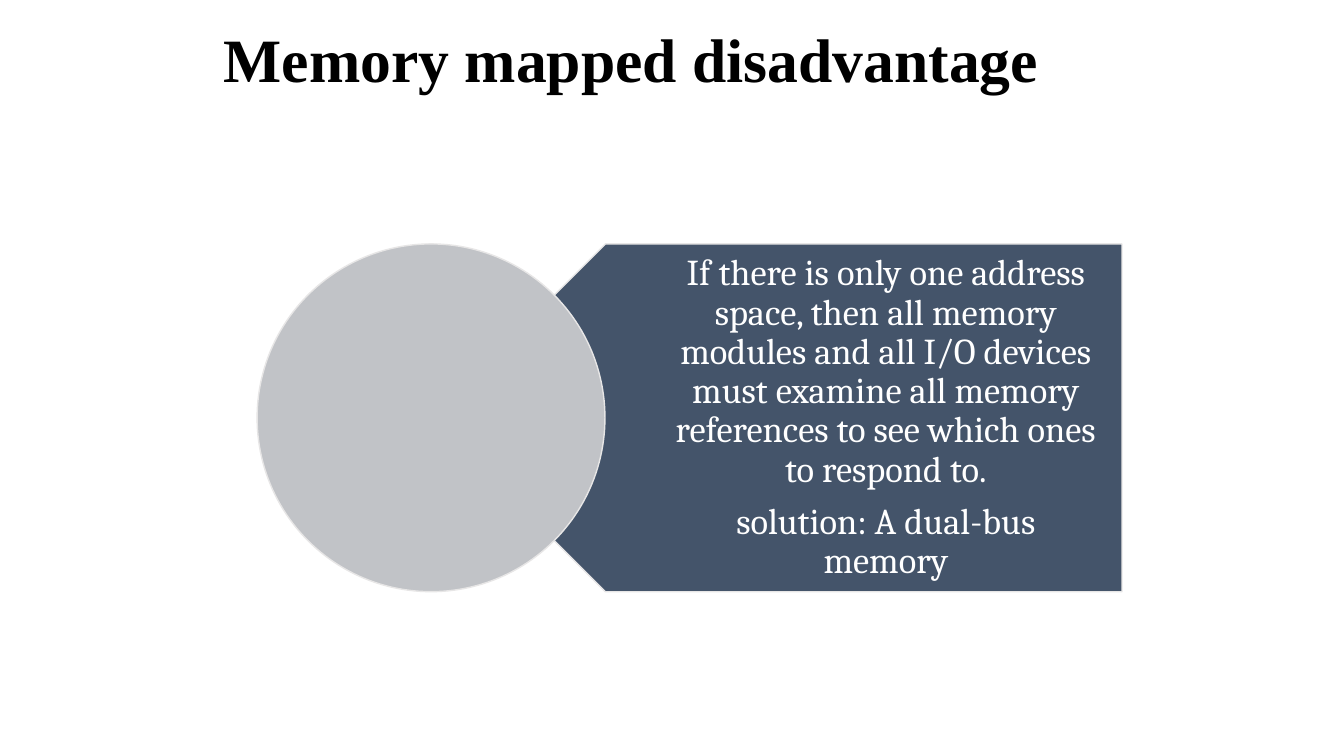
from dataclasses import dataclass

from pptx import Presentation
from pptx.dml.color import RGBColor
from pptx.enum.shapes import MSO_SHAPE as Preset
from pptx.enum.text import MSO_ANCHOR as Anchor, MSO_AUTO_SIZE as AutoSize, PP_ALIGN as Align
from pptx.util import Inches, Pt

COLOURS = {
    "title": "000000",
    "body": "FFFFFF",
    "banner": "44546A",
    "disc": "C1C3C7",
    "outline": "E7E6E6",
}
WIDTH, HEIGHT = Inches(13.33), Inches(7.5)
BAND_TOP, BAND_HEIGHT = 32.27, 46


@dataclass(frozen=True)
class Area:
    """Percentages of the slide's width and height."""

    left: float
    top: float
    width: float
    height: float

    def lengths(self) -> tuple[int, int, int, int]:
        return (
            int(WIDTH * self.left / 100),
            int(HEIGHT * self.top / 100),
            int(WIDTH * self.width / 100),
            int(HEIGHT * self.height / 100),
        )


@dataclass(frozen=True)
class Figure:
    preset: Preset
    area: Area
    fill: str
    rotation: int = 0


TITLE_AREA = Area(15.9, 0, 72.84, 16.67)
TEXT_AREA = Area(38.55, BAND_TOP, 44.85, BAND_HEIGHT)
BANNER = Figure(Preset.PENTAGON, Area(32.1, BAND_TOP, 51.38, BAND_HEIGHT), "banner", 180)
DISC = Figure(Preset.OVAL, Area(19.13, BAND_TOP, 25.88, BAND_HEIGHT), "disc")

EXPLANATION = [
    "If there is only one address space, then all memory modules and all I/O devices "
    "must examine all memory references to see which ones to respond to.",
    "solution: A dual-bus memory",
]


def colour(name: str) -> RGBColor:
    return RGBColor.from_string(COLOURS[name])


def draw_figure(page, figure: Figure) -> None:
    shape = page.shapes.add_shape(figure.preset, *figure.area.lengths())
    shape.rotation = figure.rotation
    shape.shadow.inherit = False
    shape.fill.solid()
    shape.fill.fore_color.rgb = colour(figure.fill)
    shape.line.color.rgb = colour("outline")
    shape.line.width = Pt(1)


def write_text(box, lines: list[str], *, font: str, size: int, ink: str, bold: bool = False,
               align: Align = Align.LEFT, space_after: float = 0,
               insets: tuple[float, float, float, float] = (0.1, 0.05, 0.1, 0.05)) -> None:
    frame = box.text_frame
    frame.word_wrap = True
    frame.auto_size = AutoSize.NONE
    frame.vertical_anchor = Anchor.MIDDLE
    frame.margin_left, frame.margin_top, frame.margin_right, frame.margin_bottom = map(Inches, insets)
    for index, line in enumerate(lines):
        para = frame.add_paragraph() if index else frame.paragraphs[0]
        para.alignment = align
        para.line_spacing = 0.9
        para.space_before = Pt(0)
        para.space_after = Pt(space_after)
        span = para.add_run()
        span.text = line
        span.font.name = font
        span.font.size = Pt(size)
        span.font.bold = bold
        span.font.color.rgb = colour(ink)


def main() -> None:
    deck = Presentation()
    deck.slide_width, deck.slide_height = WIDTH, HEIGHT
    page = deck.slides.add_slide(deck.slide_layouts.get_by_name("Title Only"))

    title = page.shapes.title
    title.left, title.top, title.width, title.height = TITLE_AREA.lengths()
    write_text(title, ["Memory mapped disadvantage"], font="Times New Roman", size=44,
               ink="title", bold=True)

    draw_figure(page, BANNER)
    write_text(page.shapes.add_textbox(*TEXT_AREA.lengths()), EXPLANATION, font="Cambria", size=26,
               ink="body", align=Align.CENTER, space_after=9, insets=(1.52, 0.11, 0.2, 0.11))
    draw_figure(page, DISC)

    deck.save("out.pptx")


if __name__ == "__main__":
    main()
